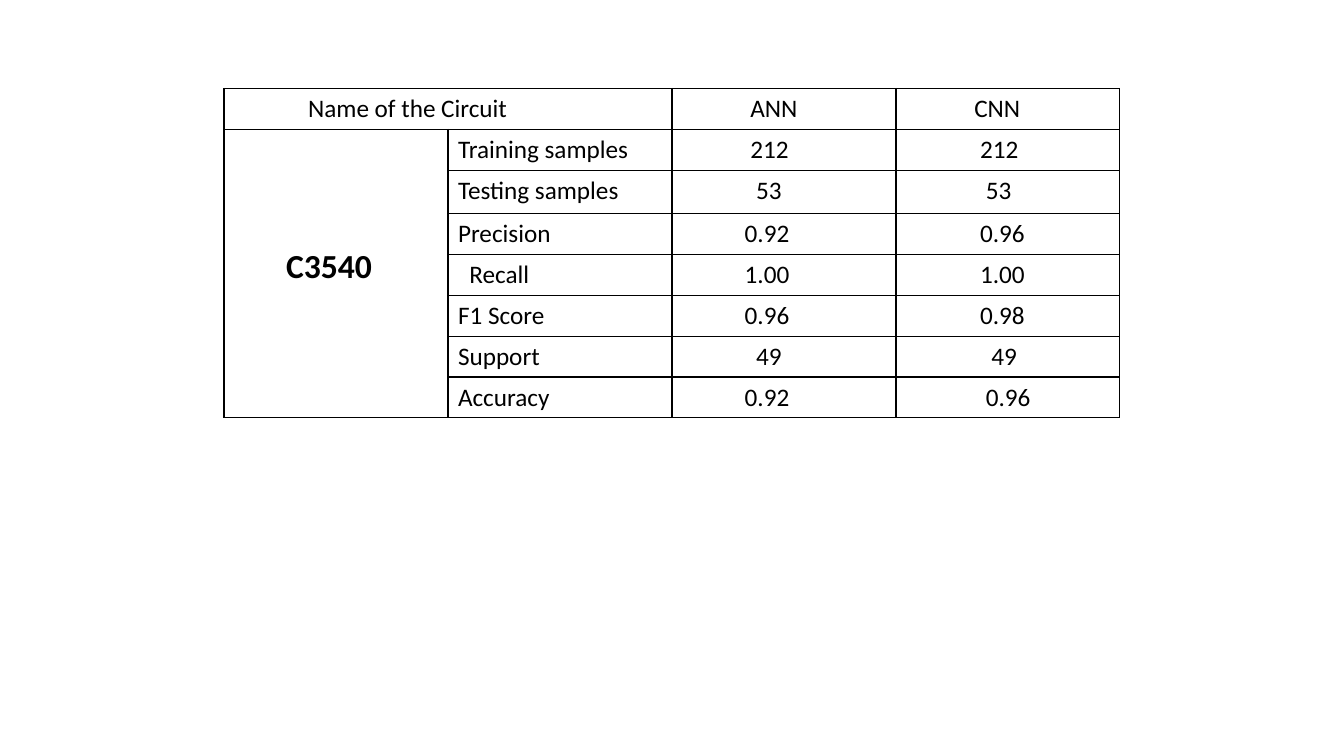
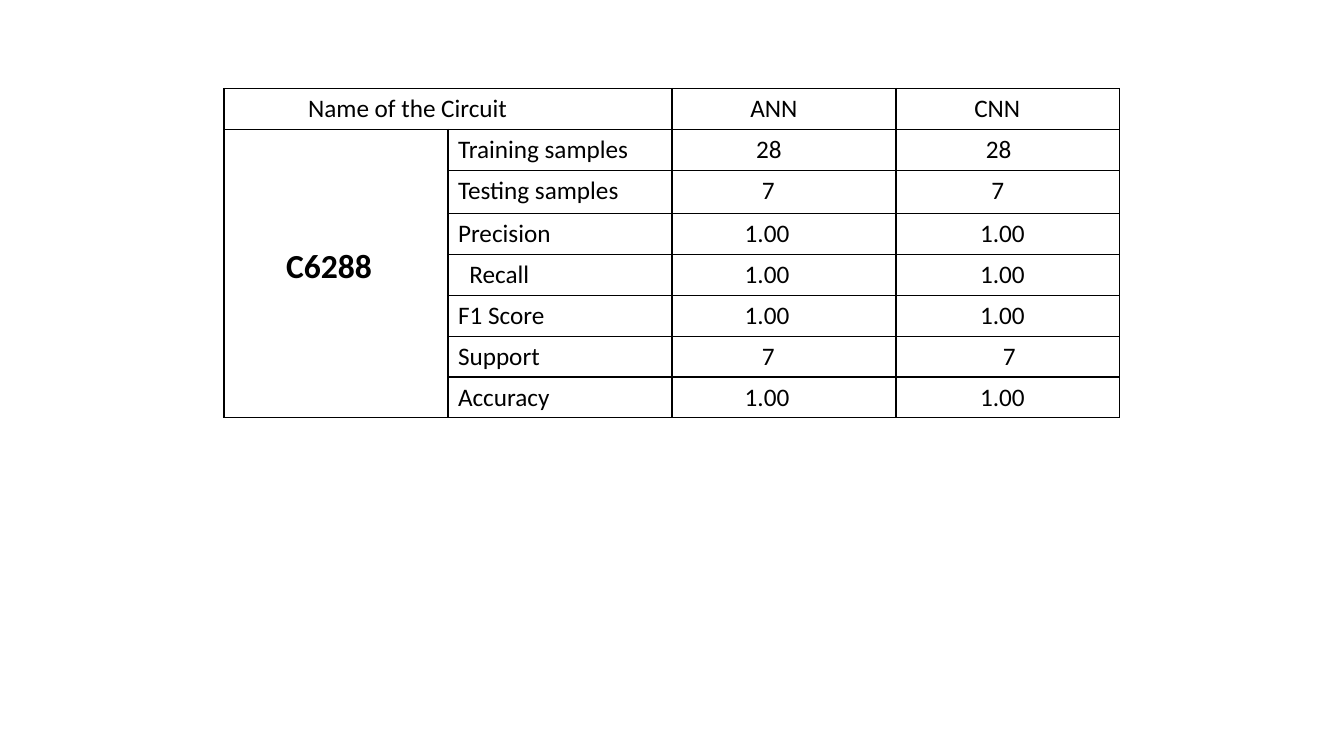
from pptx import Presentation
from pptx.dml.color import RGBColor
from pptx.util import Pt
from lxml.etree import SubElement
from pptx.oxml.ns import qn

INK = "000000"
FONT = "Calibri"
COLUMN_WIDTH = 160
ROW_HEIGHT = 29.2
TALL_ROW_HEIGHT = 30.9
CELL_MARGIN = 7.2
INDENT_STEP = 4.07
ANN_INDENT = 15

METRICS = ["Training samples", "Testing samples", "Precision", "Recall",
           "F1 Score", "Support", "Accuracy"]
LABEL_INDENTS = {"Recall": 2}

CIRCUITS = {
    "C3540": [("212", "212", 13), ("53", "53", 14), ("0.92", "0.96", 13),
              ("1.00", "1.00", 13), ("0.96", "0.98", 13), ("49", "49", 15),
              ("0.92", "0.96", 14)],
    "C6288": [("28", "28", 14), ("7", "7", 15), ("1.00", "1.00", 13),
              ("1.00", "1.00", 13), ("1.00", "1.00", 13), ("7", "7", 17),
              ("1.00", "1.00", 13)],
}


def write(holder, text, size=18, bold=False, color=INK, indent=0):
    holder.margin_left = Pt(round(CELL_MARGIN + indent * INDENT_STEP, 2))
    span = holder.text_frame.paragraphs[0].add_run()
    span.text = text
    span.font.name = FONT
    span.font.size = Pt(size)
    span.font.bold = bold
    span.font.color.rgb = RGBColor.from_string(color)


def outline(cell, color=INK, width=1):
    cell.fill.background()
    properties = cell._tc.get_or_add_tcPr()
    for position, side in enumerate(("lnL", "lnR", "lnT", "lnB")):
        line = properties.makeelement(qn(f"a:{side}"), {"w": str(Pt(width))})
        fill = SubElement(line, qn("a:solidFill"))
        SubElement(fill, qn("a:srgbClr"), val=color)
        properties.insert(position, line)


deck = Presentation()
deck.slide_width = Pt(960)
deck.slide_height = Pt(540)

for circuit, results in CIRCUITS.items():
    page = deck.slides.add_slide(deck.slide_layouts[6])
    row_count = len(METRICS) + 1
    table = page.shapes.add_table(
        row_count, 4, Pt(160), Pt(63.2), Pt(4 * COLUMN_WIDTH),
        Pt(row_count * ROW_HEIGHT)).table
    table.first_row = False
    table.horz_banding = False
    for column in table.columns:
        column.width = Pt(COLUMN_WIDTH)
    for row in table.rows:
        row.height = Pt(ROW_HEIGHT)
    table.rows[2].height = Pt(TALL_ROW_HEIGHT)
    for cell in table.iter_cells():
        outline(cell)

    table.cell(0, 0).merge(table.cell(0, 1))
    table.cell(1, 0).merge(table.cell(row_count - 1, 0))
    write(table.cell(0, 0), "Name of the Circuit", indent=13)
    write(table.cell(0, 2), "ANN", indent=12)
    write(table.cell(0, 3), "CNN", indent=12)
    for index, (metric, result) in enumerate(zip(METRICS, results), start=1):
        ann, cnn, cnn_indent = result
        write(table.cell(index, 1), metric, indent=LABEL_INDENTS.get(metric, 0))
        write(table.cell(index, 2), ann, indent=ANN_INDENT - len(ann))
        write(table.cell(index, 3), cnn, indent=cnn_indent)

    box = page.shapes.add_textbox(Pt(197.3), Pt(171.4), Pt(81.4), Pt(36))
    write(box.text_frame.paragraphs[0]._parent and box.text_frame, circuit,
          size=24, bold=True) if hasattr(box.text_frame, "text_frame") else None
    name = box.text_frame.paragraphs[0].add_run()
    name.text = circuit
    name.font.name = FONT
    name.font.size = Pt(24)
    name.font.bold = True
    name.font.color.rgb = RGBColor.from_string(INK)

deck.save("out.pptx")
